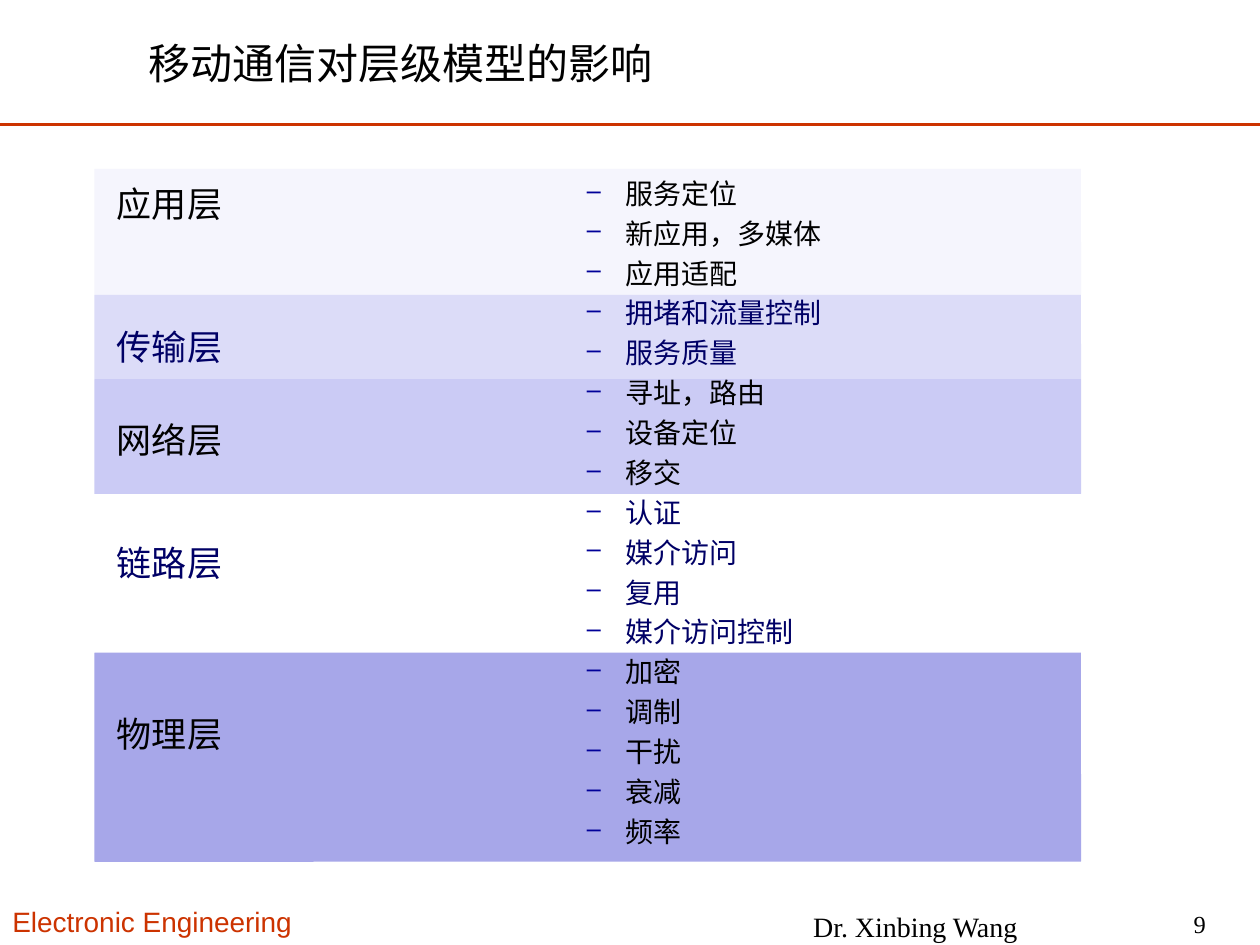
from typing import NamedTuple, Optional

from pptx import Presentation
from pptx.dml.color import RGBColor
from pptx.enum import shapes, text
from pptx.oxml import ns
from pptx.util import Inches, Pt
from lxml import etree

BLACK = RGBColor(0x00, 0x00, 0x00)
NAVY = RGBColor(0x00, 0x00, 0x66)
DASH_BLUE = "000099"
RUST = RGBColor(0xCC, 0x33, 0x00)
SERIF, SANS = "Times New Roman", "Arial"
BAND_LEFT, BAND_WIDTH = 0.75, 7.83


class Layer(NamedTuple):
    name: str
    color: RGBColor
    gap: float  # points above the layer name
    topics: list[str]
    top: float = 0
    height: float = 0
    fill: Optional[RGBColor] = None


LAYERS = [
    Layer("应用层", BLACK, 0, ["服务定位", "新应用，多媒体", "应用适配"],
          1.34, 1, RGBColor(0xF5, 0xF5, 0xFD)),
    Layer("传输层", NAVY, 57.6, ["拥堵和流量控制", "服务质量"],
          2.34, 0.67, RGBColor(0xDC, 0xDC, 0xF8)),
    Layer("网络层", BLACK, 29, ["寻址，路由", "设备定位", "移交"],
          3.01, 0.91, RGBColor(0xCB, 0xCB, 0xF5)),
    Layer("链路层", NAVY, 46.2, ["认证", "媒介访问", "复用", "媒介访问控制"]),
    Layer("物理层", BLACK, 74.2, ["加密", "调制", "干扰", "衰减", "频率"],
          5.18, 1.66, RGBColor(0xA7, 0xA7, 0xE9)),
]


def write(paragraph, content: str, *, size: float, font: str = SERIF,
          color: RGBColor = BLACK, align=text.PP_ALIGN.LEFT, before: float = 0) -> None:
    paragraph.alignment = align
    paragraph.space_before = Pt(before)
    run = paragraph.add_run()
    run.text = content
    run.font.size, run.font.name = Pt(size), font
    run.font.color.rgb = color


def add_frame(slide, left: float, top: float, width: float, height: float,
              anchor=text.MSO_ANCHOR.TOP):
    box = slide.shapes.add_textbox(Inches(left), Inches(top), Inches(width), Inches(height))
    frame = box.text_frame
    frame.word_wrap = True
    frame.vertical_anchor = anchor
    return frame


def next_paragraph(frame, index: int):
    return frame.add_paragraph() if index else frame.paragraphs[0]


def add_dash(paragraph) -> None:
    """Give the paragraph a hanging dash bullet."""
    properties = paragraph._p.get_or_add_pPr()
    properties.set("lvl", "1")
    properties.set("marL", str(Inches(0.81)))
    properties.set("indent", str(Inches(-0.31)))
    color = etree.SubElement(properties, ns.qn("a:buClr"))
    etree.SubElement(color, ns.qn("a:srgbClr"), val=DASH_BLUE)
    etree.SubElement(properties, ns.qn("a:buSzPct"), val="90000")
    etree.SubElement(properties, ns.qn("a:buChar"), char="–")


def add_title(slide) -> None:
    title = slide.shapes.title
    title.left, title.top = Inches(1.08), Inches(0.15)
    title.width, title.height = Inches(8.65), Inches(0.69)
    frame = title.text_frame
    frame.auto_size = text.MSO_AUTO_SIZE.NONE
    frame.vertical_anchor = text.MSO_ANCHOR.MIDDLE
    write(frame.paragraphs[0], "移动通信对层级模型的影响", size=24)


def add_rule(slide) -> None:
    rule = slide.shapes.add_connector(shapes.MSO_CONNECTOR.STRAIGHT,
                                      0, Inches(0.99), Inches(10), Inches(0.99))
    rule.line.color.rgb = RUST
    rule.line.width = Pt(1.5)
    etree.SubElement(rule._element.spPr, ns.qn("a:effectLst"))


def add_band(slide, layer: Layer) -> None:
    band = slide.shapes.add_shape(
        shapes.MSO_SHAPE.ROUNDED_RECTANGLE, Inches(BAND_LEFT), Inches(layer.top),
        Inches(BAND_WIDTH), Inches(layer.height))
    band.adjustments[0] = 0.002
    band.shadow.inherit = False
    band.fill.solid()
    band.fill.fore_color.rgb = layer.fill
    band.line.fill.background()


def add_topics(slide) -> None:
    frame = add_frame(slide, 4.06, 1.35, 5.08, 5.81)
    topics = [(topic, layer.color) for layer in LAYERS for topic in layer.topics]
    for index, (topic, color) in enumerate(topics):
        paragraph = next_paragraph(frame, index)
        add_dash(paragraph)
        write(paragraph, topic, size=16, color=color, before=3.6 if index else 0)


def add_layer_names(slide) -> None:
    frame = add_frame(slide, 0.83, 1.4, 4.16, 4.69)
    for index, layer in enumerate(LAYERS):
        write(next_paragraph(frame, index), layer.name, size=20, font=SANS,
              color=layer.color, before=layer.gap)


def add_footer(slide) -> None:
    middle = text.MSO_ANCHOR.MIDDLE
    department = add_frame(slide, 0, 7.13, 2.55, 0.37)
    write(department.paragraphs[0], "Electronic Engineering", size=16, font=SANS, color=RUST)
    author = add_frame(slide, 6.05, 7.23, 2.43, 0.25, middle)
    write(author.paragraphs[0], "Dr. Xinbing Wang", size=16, align=text.PP_ALIGN.CENTER)
    number = add_frame(slide, 8.84, 7.21, 0.83, 0.25, middle)
    write(number.paragraphs[0], "9", size=14, align=text.PP_ALIGN.RIGHT)


def main() -> None:
    deck = Presentation()
    deck.slide_width, deck.slide_height = Inches(10), Inches(7.5)
    slide = deck.slides.add_slide(deck.slide_layouts.get_by_name("Title Only"))
    add_rule(slide)
    add_footer(slide)
    add_title(slide)
    for layer in LAYERS:
        if layer.fill is not None:
            add_band(slide, layer)
    add_topics(slide)
    add_layer_names(slide)
    deck.save("out.pptx")


if __name__ == "__main__":
    main()
